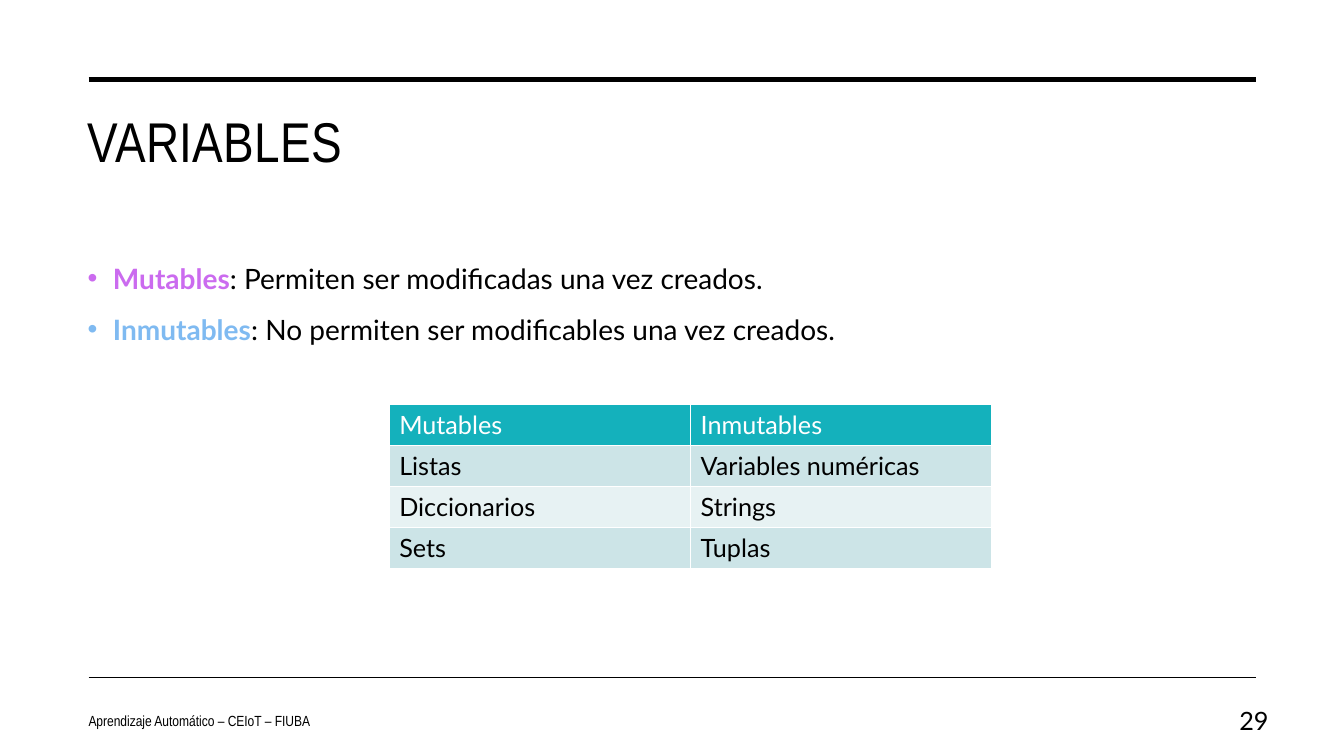
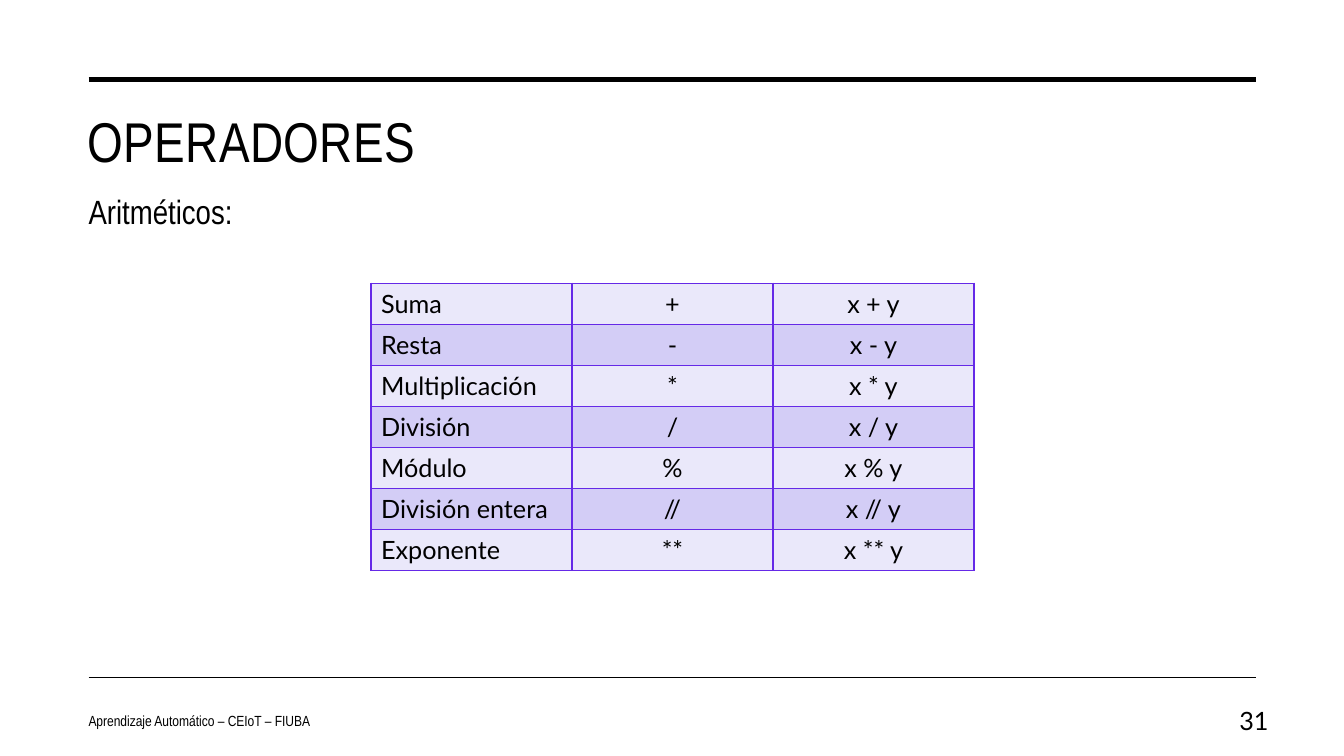
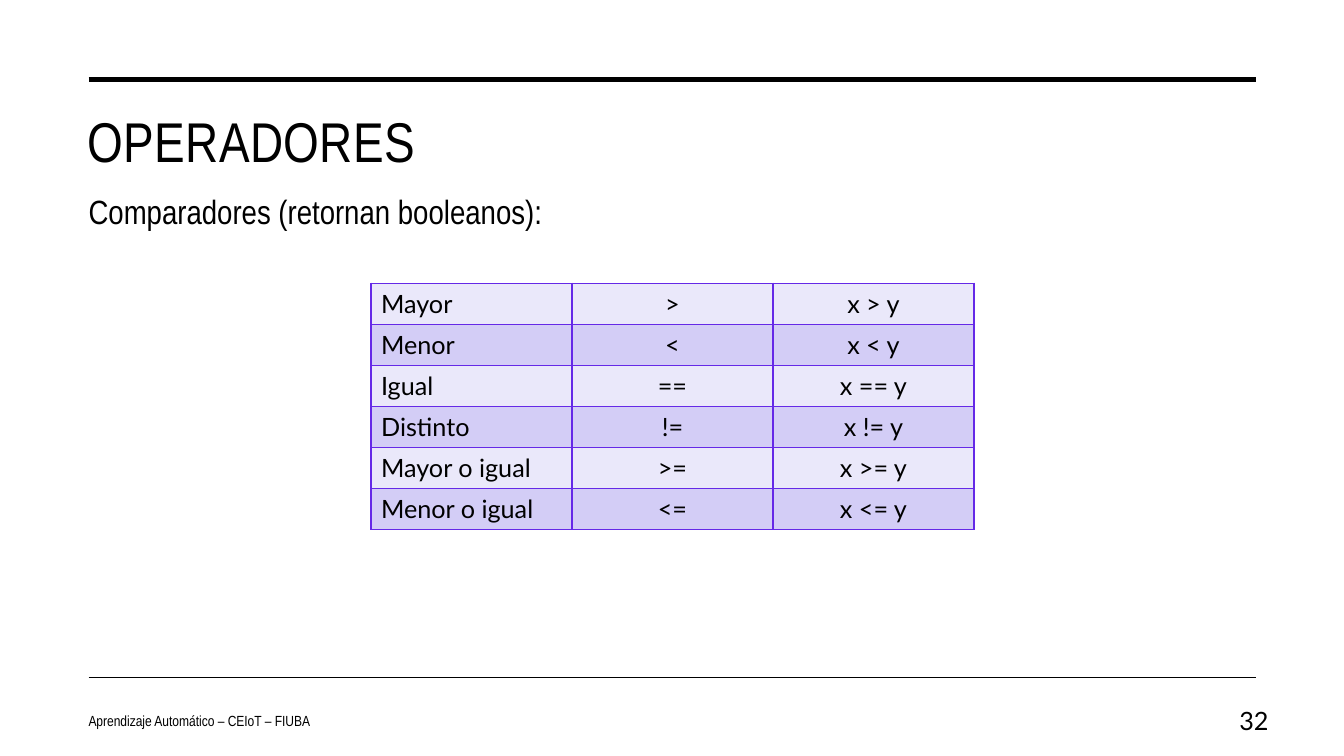
from dataclasses import dataclass

from lxml.etree import SubElement
from pptx import Presentation
from pptx.dml.color import RGBColor
from pptx.enum.shapes import MSO_CONNECTOR
from pptx.enum.text import MSO_ANCHOR, MSO_AUTO_SIZE, PP_ALIGN
from pptx.oxml.ns import qn
from pptx.util import Inches, Pt


@dataclass(frozen=True)
class Theme:
    black: str = "000000"
    white: str = "FFFFFF"
    mutable: str = "CB6BEF"
    immutable: str = "7FBAF1"
    teal: tuple = ("14B1BC", "CCE4E7", "E7F2F3")
    violet: tuple = ("EAE8FA", "D3CDF6")
    violet_border: str = "6529E7"
    heading_font: str = "Arial Narrow"
    body_font: str = "Lato"
    title_size: float = 40
    subtitle_size: float = 24
    body_size: float = 20
    table_size: float = 18
    footer_size: float = 10.5


theme = Theme()
FOOTER = "Aprendizaje Automático – CEIoT – FIUBA"
RULES = [(0.79, 3.5), (6.72, 1)]
TABLE_WIDTH, ROW_HEIGHT = 5.98, 0.4075

definitions = [
    ("Mutables", ": Permiten ser modificadas una vez creados.", theme.mutable),
    ("Inmutables", ": No permiten ser modificables una vez creados.", theme.immutable),
]
mutability_rows = [
    ("Mutables", "Inmutables"),
    ("Listas", "Variables numéricas"),
    ("Diccionarios", "Strings"),
    ("Sets", "Tuplas"),
]
arithmetic = [
    ("Suma", "+"), ("Resta", "-"), ("Multiplicación", "*"), ("División", "/"),
    ("Módulo", "%"), ("División entera", "//"), ("Exponente", "**"),
]
comparison = [
    ("Mayor", ">"), ("Menor", "<"), ("Igual", "=="),
    ("Distinto", "!="), ("Mayor o igual", ">="), ("Menor o igual", "<="),
]
# title, page number, subtitle, operators
pages = [
    ("VARIABLES", "29", None, None),
    ("OPERADORES", "31", "Aritméticos:", arithmetic),
    ("OPERADORES", "32", "Comparadores (retornan booleanos):", comparison),
]


def style_font(font, size, name=theme.body_font, color=theme.black, bold=False):
    font.size, font.name, font.bold = Pt(size), name, bold
    font.color.rgb = RGBColor.from_string(color)


def add_text(slide, text, box, size, name, align=PP_ALIGN.LEFT, anchor=MSO_ANCHOR.MIDDLE):
    frame = slide.shapes.add_textbox(*map(Inches, box)).text_frame
    frame.word_wrap, frame.vertical_anchor = True, anchor
    paragraph = frame.paragraphs[0]
    paragraph.text, paragraph.alignment = text, align
    style_font(paragraph.font, size, name)


presentation = Presentation()
presentation.slide_width, presentation.slide_height = Inches(13.33), Inches(7.5)

for title_text, number, subtitle, operators in pages:
    layout = presentation.slide_layouts.get_by_name("Title Only" if operators else "Title and Content")
    slide = presentation.slides.add_slide(layout)

    for y, width in RULES:
        rule = slide.shapes.add_connector(
            MSO_CONNECTOR.STRAIGHT, Inches(0.88), Inches(y), Inches(12.46), Inches(y))
        rule.line.width = Pt(width)
        rule.line.color.rgb = RGBColor.from_string(theme.black)
        SubElement(rule._element.spPr, qn("a:effectLst"))

    title = slide.shapes.title
    title.left, title.top, title.width, title.height = map(Inches, (0.77, 1.01, 11.69, 1.5))
    title.text_frame.vertical_anchor = MSO_ANCHOR.TOP
    title.text_frame.auto_size = MSO_AUTO_SIZE.NONE
    paragraph = title.text_frame.paragraphs[0]
    paragraph.text, paragraph.alignment = title_text, PP_ALIGN.LEFT
    style_font(paragraph.font, theme.title_size, theme.heading_font)
    paragraph.runs[0]._r.get_or_add_rPr().set("spc", "30")

    add_text(slide, FOOTER, (0.78, 6.95, 4.96, 0.4), theme.footer_size, theme.heading_font)
    slide.shapes[-1].text_frame.paragraphs[0].space_after = Pt(6)
    add_text(slide, number, (11.94, 6.95, 0.74, 0.4), theme.table_size, theme.body_font, PP_ALIGN.RIGHT)

    if operators:
        add_text(slide, subtitle, (0.78, 1.84, 8.38, 0.5), theme.subtitle_size,
                 theme.heading_font, anchor=MSO_ANCHOR.TOP)
        rows = [(name, symbol, f"x {symbol} y") for name, symbol in operators]
        left, top, border = 3.68, 2.81, theme.violet_border
    else:
        body = slide.placeholders[1]
        body.left, body.top, body.width, body.height = map(Inches, (0.77, 2.51, 11.69, 3.98))
        body.text_frame.auto_size = MSO_AUTO_SIZE.NONE
        for index, (term, meaning, color) in enumerate(definitions):
            paragraph = body.text_frame.add_paragraph() if index else body.text_frame.paragraphs[0]
            properties = paragraph._p.get_or_add_pPr()
            properties.set("marL", str(Inches(0.25)))
            properties.set("indent", str(-Inches(0.25)))
            SubElement(SubElement(properties, qn("a:buClr")), qn("a:srgbClr"), val=color)
            SubElement(properties, qn("a:buFont"), typeface="Arial")
            SubElement(properties, qn("a:buChar"), char="•")
            paragraph.line_spacing = 1.1
            paragraph.space_before = Pt(10 if index else 0)
            for text, run_color, bold in [(term, color, True), (meaning, theme.black, False)]:
                run = paragraph.add_run()
                run.text = text
                style_font(run.font, theme.body_size, color=run_color, bold=bold)
        rows = mutability_rows
        left, top, border = 3.86, 4.01, theme.white

    table = slide.shapes.add_table(
        len(rows), len(rows[0]), Inches(left), Inches(top),
        Inches(TABLE_WIDTH), Inches(ROW_HEIGHT * len(rows))).table
    table.first_row = not operators
    table.horz_banding = False
    for row_index, row in enumerate(rows):
        is_header = not operators and row_index == 0
        if operators:
            fill = theme.violet[row_index % 2]
        else:
            fill = theme.teal[0 if is_header else 2 - row_index % 2]
        for column_index, text in enumerate(row):
            cell = table.cell(row_index, column_index)
            paragraph = cell.text_frame.paragraphs[0]
            paragraph.text = text
            paragraph.alignment = PP_ALIGN.CENTER if operators and column_index else PP_ALIGN.LEFT
            style_font(paragraph.font, theme.table_size, color=theme.white if is_header else theme.black)
            cell_properties = cell._tc.get_or_add_tcPr()
            for side in ("a:lnL", "a:lnR", "a:lnT", "a:lnB"):
                line = SubElement(cell_properties, qn(side), w=str(Pt(1)))
                SubElement(SubElement(line, qn("a:solidFill")), qn("a:srgbClr"), val=border)
            cell.fill.solid()
            cell.fill.fore_color.rgb = RGBColor.from_string(fill)

presentation.save("out.pptx")
